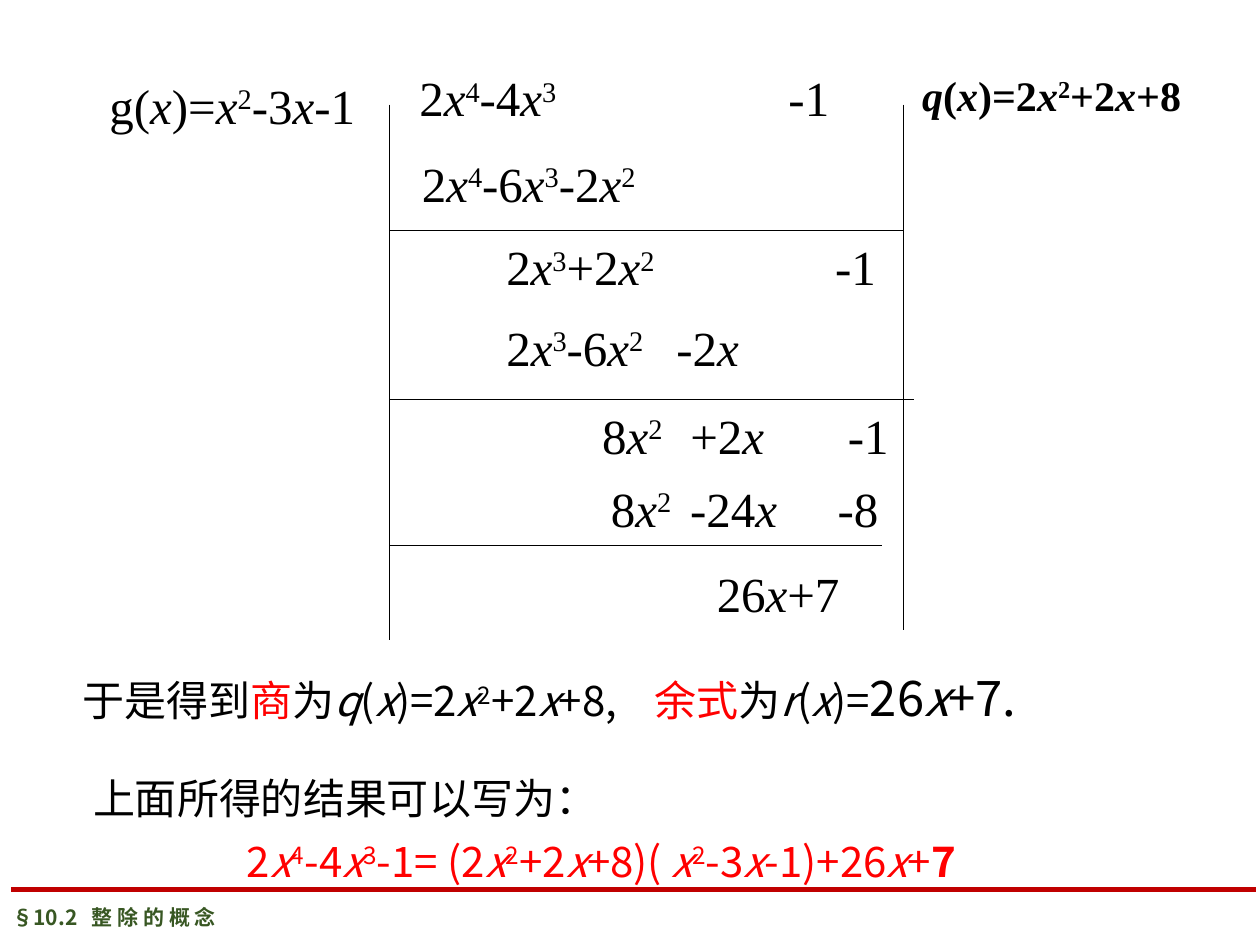
from dataclasses import dataclass

from lxml import etree
from pptx import Presentation
from pptx.dml.color import RGBColor
from pptx.enum.shapes import MSO_CONNECTOR
from pptx.enum.text import MSO_ANCHOR, MSO_AUTO_SIZE
from pptx.oxml.ns import qn
from pptx.util import Inches, Pt

STRAIGHT = MSO_CONNECTOR.STRAIGHT
MIDDLE = MSO_ANCHOR.MIDDLE
GROW = MSO_AUTO_SIZE.SHAPE_TO_FIT_TEXT
FIXED = MSO_AUTO_SIZE.NONE


@dataclass(frozen=True)
class Theme:
    serif: str = "Times New Roman"
    sans: str = "Noto Sans CJK JP"
    ink: str = "000000"
    accent: str = "FF0000"
    rule: str = "C00000"
    section: str = "385723"
    large: int = 28
    body: int = 24
    small: int = 12
    thin: float = 0.75
    thick: float = 2.75


def split_formula(formula):
    pieces = []
    raised = False
    for char in formula:
        if char == "^":
            raised = True
            continue
        kind = "raised" if raised else "italic" if char in "xqr" else "plain"
        raised = False
        if pieces and pieces[-1][1] == kind:
            pieces[-1][0] += char
        else:
            pieces.append([char, kind])
    return pieces


class SlideWriter:
    def __init__(self, slide, theme):
        self.slide = slide
        self.theme = theme

    def line(self, start, end, color=None, width=None):
        points = [Inches(value) for value in (*start, *end)]
        connector = self.slide.shapes.add_connector(STRAIGHT, *points)
        connector.line.color.rgb = RGBColor.from_string(color or self.theme.ink)
        connector.line.width = Pt(width or self.theme.thin)
        etree.SubElement(connector._element.spPr, qn("a:effectLst"))

    def box(self, left, top, width, height, wrap=False, stops=()):
        shape = self.slide.shapes.add_textbox(
            Inches(left), Inches(top), Inches(width), Inches(height))
        frame = shape.text_frame
        frame.word_wrap = wrap or bool(stops)
        frame.auto_size = GROW
        paragraph = frame.paragraphs[0]
        if stops:
            tab_list = etree.SubElement(paragraph._p.get_or_add_pPr(), qn("a:tabLst"))
            for stop in stops:
                position = Inches(stop - left) - frame.margin_left
                etree.SubElement(tab_list, qn("a:tab"), pos=str(position), algn="l")
        return frame

    def run(self, frame, text, font, size, color, bold=False, kind="plain"):
        run = frame.paragraphs[0].add_run()
        run.text = text
        run.font.name = font
        run.font.size = Pt(size)
        run.font.bold = bold
        run.font.italic = kind == "italic"
        run.font.color.rgb = RGBColor.from_string(color)
        properties = run.font._element
        etree.SubElement(properties, qn("a:ea"), typeface=font)
        if kind == "raised":
            properties.set("baseline", "30000")

    def formula(self, frame, formula, font, size, color, bold=False):
        for text, kind in split_formula(formula):
            self.run(frame, text, font, size, color, bold, kind)

    def division_row(self, left, top, width, formula, stops=()):
        frame = self.box(left, top, width, 0.57, stops=stops)
        self.formula(frame, formula, self.theme.serif, self.theme.large, self.theme.ink)

    def quotient(self, left, top, width, formula):
        frame = self.box(left, top, width, 0.5)
        self.formula(frame, formula, self.theme.serif, self.theme.body,
                     self.theme.ink, bold=True)

    def statement(self, bounds, parts, wrap=False, stops=()):
        frame = self.box(*bounds, wrap=wrap, stops=stops)
        for text, color, size, bold in parts:
            self.formula(frame, text, self.theme.sans, size, color, bold)

    def footer(self, text, left, top, width, height, stop):
        theme = self.theme
        self.line((0.09, 7.06), (9.97, 7.06), theme.rule, theme.thick)
        frame = self.box(left, top, width, height, stops=[stop])
        frame.auto_size = FIXED
        frame.vertical_anchor = MIDDLE
        frame.margin_left = frame.margin_right = Inches(0.07)
        frame.margin_top = frame.margin_bottom = Inches(0.04)
        self.run(frame, text, theme.sans, theme.small, theme.section, bold=True)


def main():
    deck = Presentation()
    deck.slide_width = Inches(10)
    deck.slide_height = Inches(7.5)
    theme = Theme()
    writer = SlideWriter(deck.slides.add_slide(deck.slide_layouts[6]), theme)

    writer.footer("§10.2\t整 除 的 概 念", 0.03, 7.14, 3.31, 0.27, stop=0.76)

    bar_left, bar_right, bar_top = 3.09, 7.17, 0.83
    for bar, bottom in ((bar_left, 5.08), (bar_right, 5)):
        writer.line((bar, bar_top), (bar, bottom))
    for height, end in ((1.83, bar_right), (3.17, 7.25), (4.33, 7)):
        writer.line((bar_left, height), (end, height))

    division = (
        (3.23, 0.49, 3.83, "2x^4-4x^3\t-1", [6.26]),
        (0.77, 0.55, 2.21, "g(x)=x^2-3x-1", []),
        (3.25, 1.17, 1.96, "2x^4-6x^3-2x^2", []),
        (3.92, 1.83, 3.2, "2x^3+2x^2\t-1", [6.63]),
        (3.92, 2.47, 2.15, "2x^3-6x^2\t-2x", [5.37]),
        (4.68, 3.17, 2.55, "8x^2\t+2x\t-1", [5.48, 6.73]),
        (4.75, 3.75, 2.4, "8x^2\t-24x\t-8", [5.48, 6.65]),
        (5.59, 4.42, 1.18, "26x+7", []),
    )
    for row in division:
        writer.division_row(*row)
    writer.quotient(7.22, 0.5, 2.28, "q(x)=2x^2+2x+8")

    writer.statement((0.56, 5.25, 7.84, 0.57), (
        ("于是得到", theme.ink, theme.body, False),
        ("商", theme.accent, theme.body, False),
        ("为q(x)=2x^2+2x+8,\t", theme.ink, theme.body, False),
        ("余式", theme.accent, theme.body, False),
        ("为r(x)=", theme.ink, theme.body, False),
        ("26x+7.", theme.ink, theme.large, False),
    ), stops=[5.2])
    writer.statement((0.64, 6.08, 4.2, 0.5), (
        ("上面所得的结果可以写为：", theme.ink, theme.body, False),
    ))
    writer.statement((1.86, 6.58, 7.58, 0.5), (
        ("2x^4-4x^3-1= (2x^2+2x+8)( x^2-3x-1)+26x+", theme.accent, theme.body, False),
        ("7", theme.accent, theme.body, True),
    ), wrap=True)

    deck.save("out.pptx")


if __name__ == "__main__":
    main()
